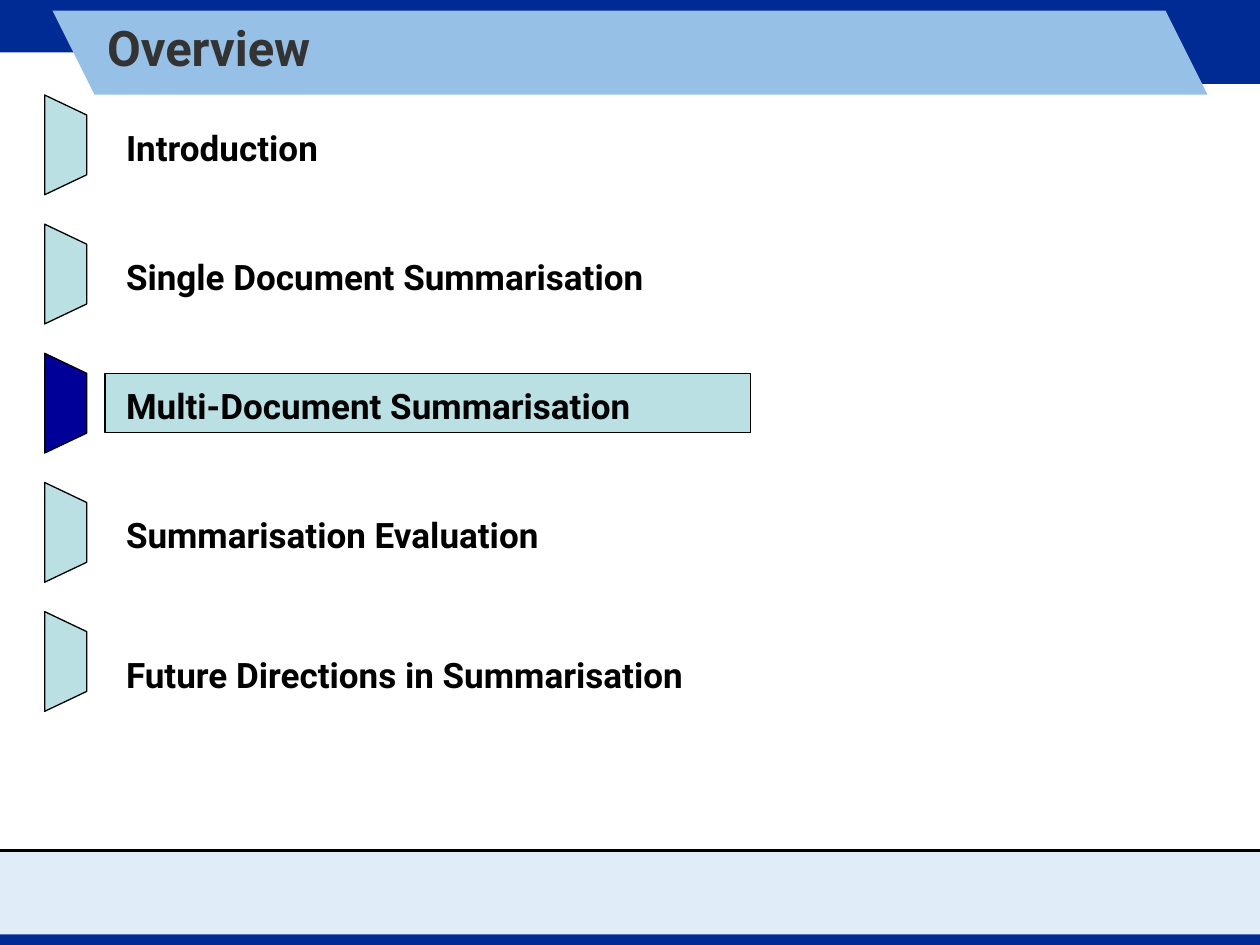
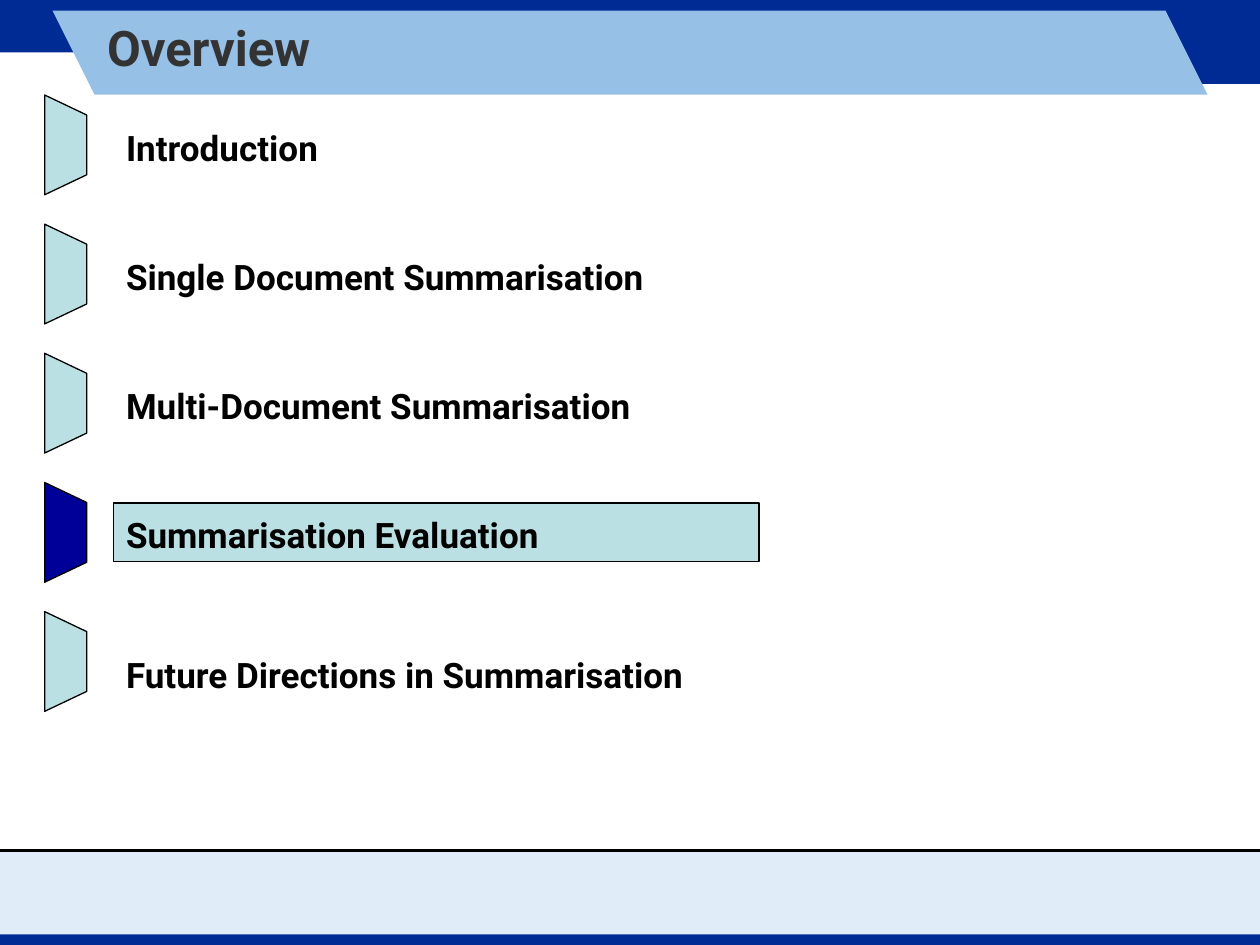
from lxml.etree import SubElement
from pptx import Presentation
from pptx.dml.color import RGBColor
from pptx.enum.shapes import MSO_CONNECTOR, MSO_SHAPE
from pptx.enum.text import MSO_ANCHOR, MSO_AUTO_SIZE, PP_ALIGN
from pptx.oxml.ns import qn
from pptx.util import Inches, Pt

NAVY = RGBColor(0x00, 0x2B, 0x94)
SKY = RGBColor(0x97, 0xC0, 0xE6)
PALE = RGBColor(0xE0, 0xEC, 0xF7)
TEAL = RGBColor(0xBB, 0xE0, 0xE3)
DEEP = RGBColor(0x00, 0x00, 0x99)
GREY = RGBColor(0x33, 0x33, 0x33)
BLACK = RGBColor(0x00, 0x00, 0x00)

FONT = "Roboto"
COLS, ROWS = 120, 90
STEP = 12.3  # rows from one topic to the next
PLAIN = "{2D5ABB26-0587-4C30-8999-92F81FD0307C}"  # table style without grid
HEIGHTS = [STEP, STEP, STEP, 13.3, 11.4, 10.5]
TOPICS = [
    "Introduction",
    "Single Document Summarisation",
    "Multi-Document Summarisation",
    "Summarisation Evaluation",
    "Future Directions in Summarisation",
]


class Deck:
    """Holds the style and the current slide; lengths are grid columns and rows."""

    def __init__(self):
        self.prs = Presentation()
        self.prs.slide_width, self.prs.slide_height = Inches(10), Inches(7.5)
        self.slide = None

    def col(self, n):
        return round(self.prs.slide_width * n / COLS)

    def row(self, n):
        return round(self.prs.slide_height * n / ROWS)

    def area(self, x, y, w, h):
        return self.col(x), self.row(y), self.col(w), self.row(h)

    def paint(self, shape, fill, edge=None):
        shape.shadow.inherit = False
        shape.fill.solid()
        shape.fill.fore_color.rgb = fill
        if edge is None:
            shape.line.fill.background()
        else:
            shape.line.color.rgb = edge
            shape.line.width = Pt(0.75)

    def shape(self, kind, area, fill, edge=None, turn=0):
        shape = self.slide.shapes.add_shape(kind, *self.area(*area))
        shape.rotation = turn
        self.paint(shape, fill, edge)

    def poly(self, points, fill):
        spots = [(self.col(x), self.row(y)) for x, y in points]
        pen = self.slide.shapes.build_freeform(*spots[0])
        pen.add_line_segments(spots[1:], close=True)
        self.paint(pen.convert_to_shape(), fill)

    def rule(self, y):
        line = self.slide.shapes.add_connector(
            MSO_CONNECTOR.STRAIGHT, 0, self.row(y), self.col(COLS), self.row(y))
        line.line.color.rgb = BLACK
        line.line.width = Pt(1.5)
        SubElement(line.element.spPr, qn("a:effectLst"))

    def text(self, para, words, size, color):
        para.alignment = PP_ALIGN.LEFT
        run = para.add_run()
        run.text = words
        font = run.font
        font.name, font.size, font.bold = FONT, Pt(size), True
        font.color.rgb = color

    def title(self, words):
        box = self.slide.shapes.title
        box.left, box.top, box.width, box.height = self.area(9, 1, 102, 7)
        frame = box.text_frame
        frame.auto_size = MSO_AUTO_SIZE.NONE
        frame.vertical_anchor = MSO_ANCHOR.MIDDLE
        self.text(frame.paragraphs[0], words, 28, GREY)
        # The header band is drawn later than the placeholder, so lift the title.
        box.element.getparent().append(box.element)

    def table(self, x, y, width, heights, lines):
        """Add a one-column table without grid; rows past the lines stay empty."""
        frame = self.slide.shapes.add_table(
            len(heights), 1, *self.area(x, y, width, sum(heights)))
        grid = frame.table
        grid.first_row = grid.horz_banding = False
        for style in frame.element.iter(qn("a:tableStyleId")):
            style.text = PLAIN
        for row, height in zip(grid.rows, heights):
            row.height = self.row(height)
            row.cells[0].fill.background()
        for row, line in zip(grid.rows, lines):
            para = row.cells[0].text_frame.paragraphs[0]
            para.line_spacing = 1.4
            para.space_before = Pt(5)
            self.text(para, line, 20, BLACK)

    def start(self, title):
        """Add a slide with the shared bands and its title."""
        self.slide = self.prs.slides.add_slide(self.prs.slide_layouts[5])
        rect = MSO_SHAPE.RECTANGLE
        self.shape(rect, (0, 81, COLS, 8), PALE)
        self.shape(rect, (0, 0, COLS, 5), NAVY)
        self.shape(rect, (86, 3, 34, 5), NAVY)
        self.poly([(5, 1), (9, 9), (115, 9), (111, 1)], SKY)
        self.rule(81)
        self.shape(rect, (0, 89, COLS, 1), NAVY)
        self.title(title)

    def agenda(self, now, left):
        """Add the overview with topic number now marked by a box at left."""
        self.start("Overview")
        self.shape(MSO_SHAPE.RECTANGLE, (left, 11 + STEP * now, 61.5, 5.6),
                   TEAL, BLACK)
        self.table(10.8, 10.1, 68, HEIGHTS, TOPICS)
        for n in range(len(TOPICS)):
            self.shape(MSO_SHAPE.FLOWCHART_MANUAL_OPERATION,
                       (1.5, 11.8 + STEP * n, 9.5, 4),
                       DEEP if n == now else TEAL, BLACK, turn=270)


def main():
    deck = Deck()
    deck.agenda(now=2, left=10)
    deck.agenda(now=3, left=10.8)
    deck.prs.save("out.pptx")


if __name__ == "__main__":
    main()
